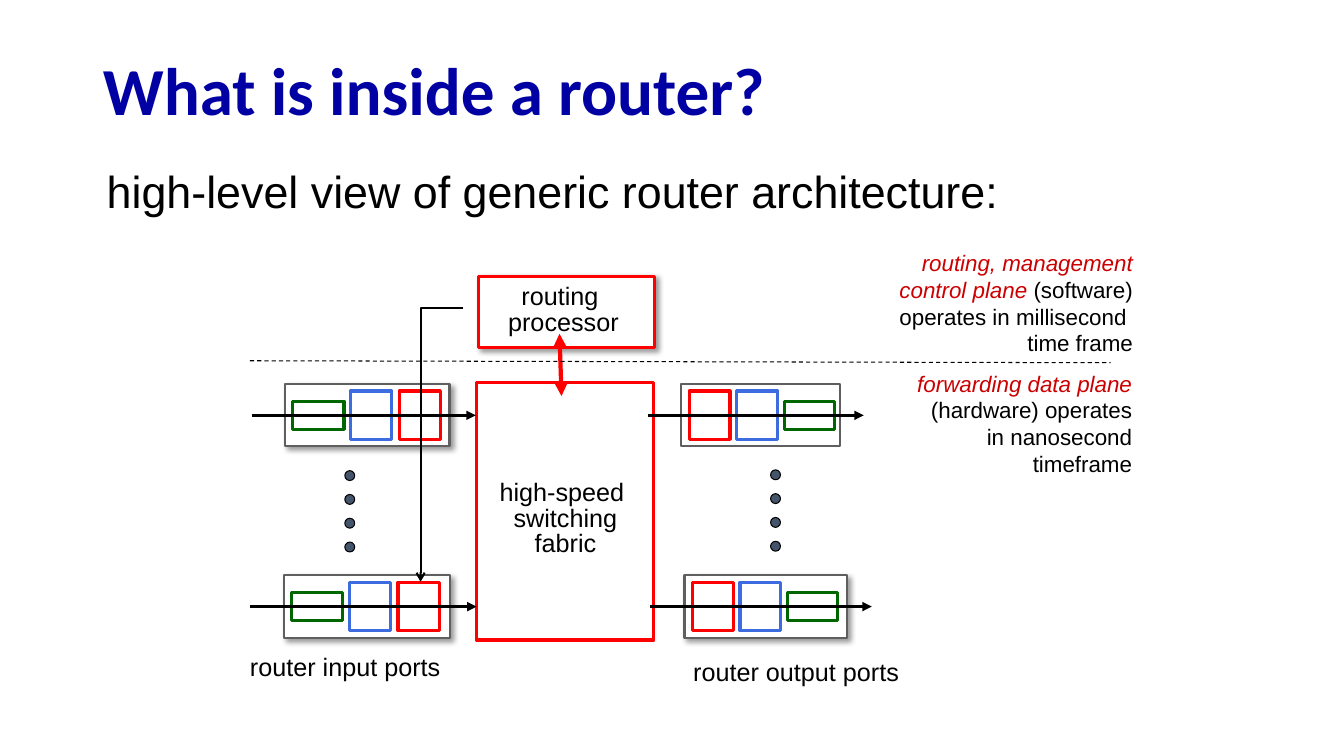
"""Build a slide showing the architecture of a generic router."""
from lxml import etree
from pptx import Presentation
from pptx.dml.color import RGBColor
from pptx.enum.dml import MSO_LINE
from pptx.enum.shapes import MSO_CONNECTOR, MSO_SHAPE
from pptx.enum.text import MSO_ANCHOR, PP_ALIGN
from pptx.oxml.ns import qn
from pptx.util import Cm, Pt

RECTANGLE, OVAL = MSO_SHAPE.RECTANGLE, MSO_SHAPE.OVAL
STRAIGHT, DASH = MSO_CONNECTOR.STRAIGHT, MSO_LINE.DASH
LEFT, CENTER, RIGHT = PP_ALIGN.LEFT, PP_ALIGN.CENTER, PP_ALIGN.RIGHT
MIDDLE = MSO_ANCHOR.MIDDLE

NAVY = RGBColor(0x00, 0x00, 0xA3)
BLACK = RGBColor(0x00, 0x00, 0x00)
WHITE = RGBColor(0xFF, 0xFF, 0xFF)
RED = RGBColor(0xFF, 0x00, 0x00)
CRIMSON = RGBColor(0xCC, 0x00, 0x00)
GREEN = RGBColor(0x00, 0x66, 0x00)
BLUE = RGBColor(0x3C, 0x6C, 0xDF)
GRAY = RGBColor(0x5F, 0x5F, 0x5F)
SLATE = RGBColor(0x44, 0x54, 0x6A)

TITLE = "What is inside a router?"
TITLE_AREA = (2.34, 1.12, 29.21, 2.49)

FABRIC = (12.01, 9.63, 4.47, 6.5)
PROCESSOR = (12.07, 6.96, 4.42, 1.8)

# Each text: area, size, alignment, line spacing, wrap, paragraphs of (words, emphasis)
TEXTS = [
    ((2.44, 4.01, 29.97, 1.63), 32, LEFT, 1, True,
     [[("high-level view of generic router architecture:", False)]]),
    ((12.32, 11.99, 3.86, 2.21), 18, CENTER, 0.85, False,
     [[("high-speed ", False)], [("switching", False)], [("fabric", False)]]),
    ((12.55, 7.06, 3.3, 1.55), 18, CENTER, 0.85, False,
     [[("routing ", False)], [("processor", False)]]),
    ((6.05, 16.28, 5.31, 1.02), 18, LEFT, 1, False,
     [[("router input ports", False)]]),
    ((17.22, 16.41, 5.69, 1.02), 18, LEFT, 1, False,
     [[("router output ports", False)]]),
    ((22.71, 9.19, 6.07, 3), 16, RIGHT, 1, True,
     [[("forwarding data plane  ", True),
       ("(hardware) operates in nanosecond timeframe", False)]]),
    ((20.8, 6.15, 8, 3), 16, RIGHT, 1, True,
     [[("routing, management", True)],
      [("control plane ", True), ("(software)", False)],
      [("operates in millisecond ", False)],
      [("time frame", False)]]),
]

INPUT_CELLS = [(0.18, 1.3, GREEN), (1.64, 1.04, BLUE), (2.87, 1.04, RED)]
OUTPUT_CELLS = [(0.2, 1.03, RED), (1.4, 1.03, BLUE), (2.6, 1.26, GREEN)]
PORT_HEIGHT = 1.57
CELL_HEIGHTS = {GREEN: 0.71, BLUE: 1.22, RED: 1.22}

# Each port: left, top, width, shadow, cells, arrow start, arrow end
PORTS = [
    (7.19, 9.68, 4.14, True, INPUT_CELLS, 6.35, 11.99),
    (7.16, 14.5, 4.19, True, INPUT_CELLS, 6.3, 12.01),
    (17.17, 9.68, 3.99, False, OUTPUT_CELLS, 16.33, 21.77),
    (17.25, 14.5, 4.09, True, OUTPUT_CELLS, 16.38, 21.97),
]

DOT_COLUMNS = [(8.69, 11.86), (19.42, 11.84)]
DOT_COUNT, DOT_STEP, DOT_SIZE = 4, 0.6, 0.25

PLANE_DIVIDER = (6.3, 9.09, 27.99, 9.14)
PROCESSOR_LINK = (14.1, 8.41, 14.15, 9.98)
TABLE_UPDATE_ROUTE = [(11.68, 7.77), (10.6, 7.77), (10.6, 14.66)]


def add_figure(page, kind, area, fill, color, weight, shadow=False):
    """Add a filled, outlined shape, with a soft shadow if asked for."""
    shape = page.shapes.add_shape(kind, *map(Cm, area))
    shape.fill.solid()
    shape.fill.fore_color.rgb = fill
    shape.line.color.rgb = color
    shape.line.width = Pt(weight)
    shape.shadow.inherit = False
    if shadow:
        effects = shape._element.spPr.find(qn("a:effectLst"))
        outer = etree.SubElement(effects, qn("a:outerShdw"), blurRad=str(Pt(4)),
                                 dist=str(Pt(3)), dir="2700000", algn="tl")
        tint = etree.SubElement(outer, qn("a:srgbClr"), val="000000")
        etree.SubElement(tint, qn("a:alpha"), val="40000")


def style_line(shape, color, weight, head=None, tail=None):
    """Set the color, weight and arrowheads of a line."""
    shape.line.color.rgb = color
    shape.line.width = Pt(weight)
    outline = shape.line._get_or_add_ln()
    for tag, arrow in (("a:headEnd", head), ("a:tailEnd", tail)):
        if arrow:
            etree.SubElement(outline, qn(tag), type=arrow)


def add_line(page, ends, color, weight, head=None, tail=None):
    """Add a straight line without a shadow."""
    line = page.shapes.add_connector(STRAIGHT, *map(Cm, ends))
    style_line(line, color, weight, head, tail)
    etree.SubElement(line._element.spPr, qn("a:effectLst"))
    return line


def add_text(page, area, size, alignment, spacing, wrap, paragraphs):
    """Add a text box whose emphasized words are red and italic."""
    frame = page.shapes.add_textbox(*map(Cm, area)).text_frame
    frame.word_wrap = wrap
    for index, spans in enumerate(paragraphs):
        para = frame.add_paragraph() if index else frame.paragraphs[0]
        para.alignment = alignment
        para.line_spacing = spacing
        for words, emphasis in spans:
            span = para.add_run()
            span.text = words
            span.font.name = "Arial"
            span.font.size = Pt(size)
            span.font.italic = emphasis
            span.font.color.rgb = CRIMSON if emphasis else BLACK


def add_title(page):
    """Place and format the title."""
    title = page.shapes.title
    title.left, title.top, title.width, title.height = map(Cm, TITLE_AREA)
    title.text_frame.text = TITLE
    title.text_frame.vertical_anchor = MIDDLE
    para = title.text_frame.paragraphs[0]
    para.alignment = LEFT
    para.line_spacing = 0.9
    font = para.runs[0].font
    font.name, font.size, font.bold = "Calibri", Pt(48), True
    font.color.rgb = NAVY


def add_port(page, left, top, width, shadow, cells, start, end):
    """Add a port with its three cells and the arrow through them."""
    add_figure(page, RECTANGLE, (left, top, width, PORT_HEIGHT), WHITE, GRAY, 1.5, shadow)
    middle = top + PORT_HEIGHT / 2
    for offset, cell_width, color in cells:
        height = CELL_HEIGHTS[color]
        area = (left + offset, middle - height / 2, cell_width, height)
        add_figure(page, RECTANGLE, area, WHITE, color, 2.25)
    add_line(page, (start, middle, end, middle), BLACK, 2.25, tail="triangle")


def add_update_route(page):
    """Add the bent arrow from the processor to the input ports."""
    first, *rest = [(Cm(x), Cm(y)) for x, y in TABLE_UPDATE_ROUTE]
    builder = page.shapes.build_freeform(*first)
    builder.add_line_segments(rest, close=False)
    route = builder.convert_to_shape()
    route.fill.background()
    style_line(route, BLACK, 1.5, tail="arrow")
    route.shadow.inherit = False


def main():
    """Build and save the deck."""
    deck = Presentation()
    deck.slide_width, deck.slide_height = Cm(33.87), Cm(19.05)
    page = deck.slides.add_slide(deck.slide_layouts[5])
    add_title(page)
    add_figure(page, RECTANGLE, FABRIC, WHITE, RED, 2.25)
    add_figure(page, RECTANGLE, PROCESSOR, WHITE, RED, 2.25, shadow=True)
    for text in TEXTS:
        add_text(page, *text)
    add_line(page, PROCESSOR_LINK, RED, 3, head="triangle", tail="triangle")
    for port in PORTS:
        add_port(page, *port)
    for left, top in DOT_COLUMNS:
        for index in range(DOT_COUNT):
            area = (left, top + index * DOT_STEP, DOT_SIZE, DOT_SIZE)
            add_figure(page, OVAL, area, SLATE, BLACK, 0.75)
    add_line(page, PLANE_DIVIDER, BLACK, 0.75).line.dash_style = DASH
    add_update_route(page)
    deck.save("out.pptx")


if __name__ == "__main__":
    main()
